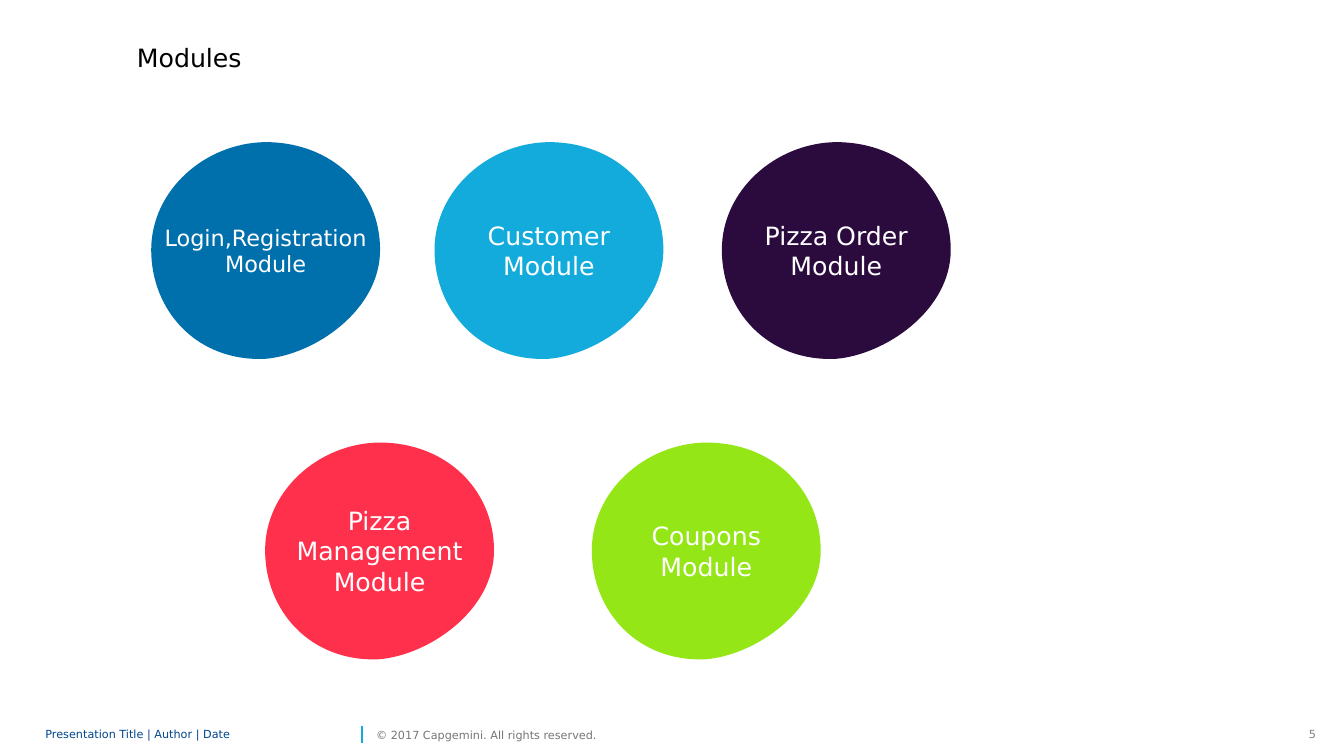
from pptx import Presentation
from pptx.dml.color import RGBColor
from pptx.enum.shapes import MSO_CONNECTOR
from pptx.enum.text import MSO_ANCHOR, MSO_AUTO_SIZE, PP_ALIGN
from pptx.oxml.ns import qn
from pptx.util import Inches, Pt
from lxml import etree

MIDDLE, TOP = MSO_ANCHOR.MIDDLE, MSO_ANCHOR.TOP
LEFT, CENTER, RIGHT = PP_ALIGN.LEFT, PP_ALIGN.CENTER, PP_ALIGN.RIGHT
FONT = "DejaVu Sans"
COLORS = {
    "blue": "0070AD", "sky": "12ABDB", "purple": "2B0A3D", "red": "FF304C",
    "green": "95E616", "white": "FFFFFF", "black": "000000",
    "navy": "00458D", "gray": "767676", "page": "808080",
}

TITLE = "Modules"
FOOTER = "Presentation Title | Author | Date"
COPYRIGHT = "© 2017 Capgemini. All rights reserved."
PAGE = "5"

# Rows of modules: top, then (left, label, fill, text size)
ROWS = [
    (1.41, [(7.16, "Pizza Order Module", "purple", 18),
            (4.31, "Customer Module", "sky", 18),
            (1.5, "Login,Registration Module", "blue", 16)]),
    (4.39, [(2.63, "Pizza Management Module", "red", 18),
            (5.87, "Coupons Module", "green", 18)]),
]

# Blob outline in hundredths of an inch: two control points and an end per curve
UNITS = 100
BLOB_START = (0, 107)
BLOB_CURVES = [
    ((0, 48), (53, 1), (113, 0)),
    ((181, 0), (227, 48), (227, 107)),
    ((227, 167), (162, 211), (113, 215)),
    ((45, 218), (0, 167), (0, 107)),
]

FOOT_TOP, FOOT_H = 7.17, 0.24


def rgb(name):
    return RGBColor.from_string(COLORS[name])


def write(shape, text, size, color, align=LEFT, anchor=MIDDLE, wrap=True):
    tf = shape.text_frame
    tf.text = text
    tf.word_wrap = wrap
    tf.vertical_anchor = anchor
    p = tf.paragraphs[0]
    p.alignment = align
    font = p.runs[0].font
    font.name, font.size = FONT, Pt(size)
    font.color.rgb = rgb(color)
    return tf


def add_text(s, box, text, size, color, inset=True, **options):
    shape = s.shapes.add_textbox(*map(Inches, box))
    tf = write(shape, text, size, color, **options)
    if not inset:
        tf.margin_left = tf.margin_right = tf.margin_top = tf.margin_bottom = 0
    return tf


def round_outline(sp):
    """Turn the straight segments of the blob into its Bezier curves."""
    segments = list(sp._element.iter(qn("a:lnTo")))
    for segment, curve in zip(segments, BLOB_CURVES):
        bezier = etree.Element(qn("a:cubicBezTo"))
        for x, y in curve:
            etree.SubElement(bezier, qn("a:pt"), x=str(x), y=str(y))
        segment.getparent().replace(segment, bezier)


def add_module(s, left, top, label, fill, size):
    builder = s.shapes.build_freeform(*BLOB_START, scale=Inches(1) / UNITS)
    builder.add_line_segments([curve[-1] for curve in BLOB_CURVES], close=True)
    sp = builder.convert_to_shape(Inches(left), Inches(top))
    round_outline(sp)
    sp.shadow.inherit = False
    sp.fill.solid()
    sp.fill.fore_color.rgb = rgb(fill)
    sp.line.fill.background()
    write(sp, label, size, "white", align=CENTER)


def add_footer(s):
    add_text(s, (12.88, FOOT_TOP, 0.27, FOOT_H), PAGE, 8, "page",
             align=RIGHT, anchor=TOP, wrap=False)
    bar = s.shapes.add_connector(MSO_CONNECTOR.STRAIGHT, Inches(3.59), Inches(7.37),
                                 Inches(3.59), Inches(7.2))
    bar.line.color.rgb = rgb("sky")
    bar.line.width = Pt(1)
    etree.SubElement(bar._element.spPr, qn("a:effectLst"))
    tf = add_text(s, (0.45, FOOT_TOP, 3.09, FOOT_H), FOOTER, 8, "navy", inset=False)
    tf.paragraphs[0].line_spacing = 0.85
    add_text(s, (3.73, FOOT_TOP, 2.43, FOOT_H), COPYRIGHT, 8, "gray",
             inset=False, wrap=False)


def main():
    prs = Presentation()
    prs.slide_width, prs.slide_height = Inches(13.33), Inches(7.5)
    s = prs.slides.add_slide(prs.slide_layouts[6])
    add_footer(s)
    tf = add_text(s, (1.26, 0.37, 6.27, 0.4), TITLE, 18, "black", anchor=TOP)
    tf.auto_size = MSO_AUTO_SIZE.SHAPE_TO_FIT_TEXT
    for top, modules in ROWS:
        for left, label, fill, size in modules:
            add_module(s, left, top, label, fill, size)
    prs.save("out.pptx")


if __name__ == "__main__":
    main()
